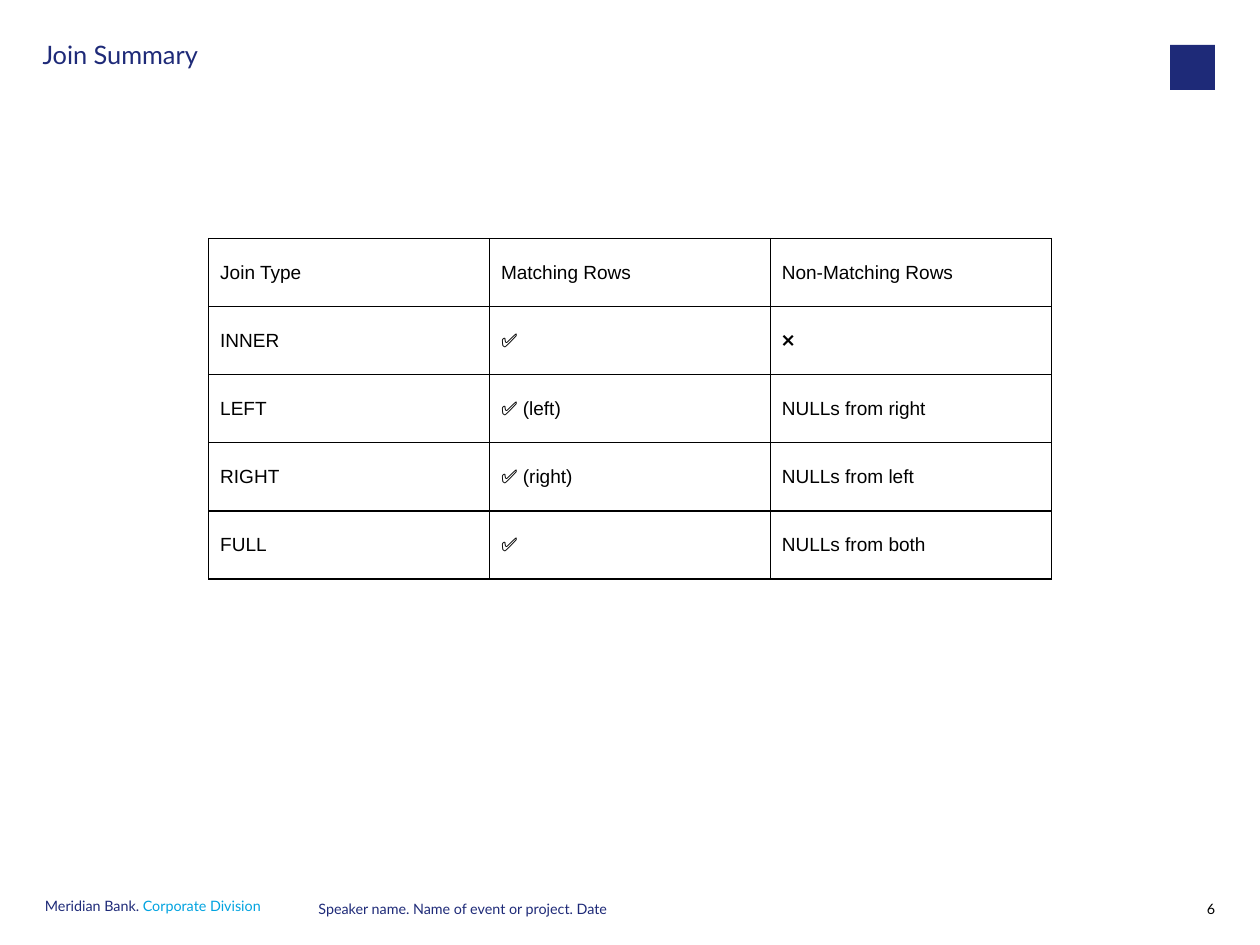
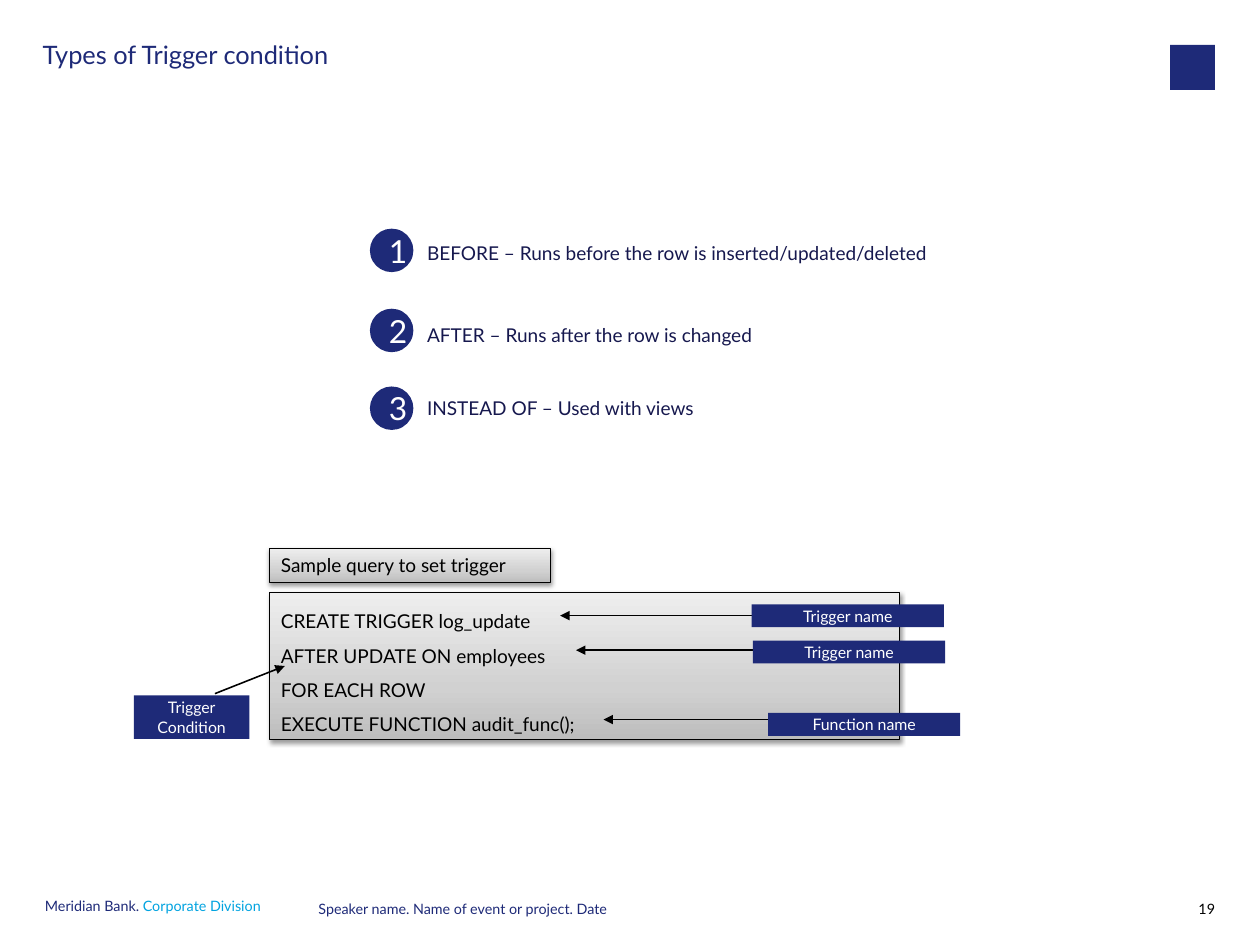
"""Builds two slides on SQL joins and triggers."""
from dataclasses import dataclass, replace
from typing import NamedTuple

from lxml.etree import SubElement as Sub
from pptx import Presentation
from pptx.dml.color import RGBColor as Rgb
from pptx.enum.shapes import MSO_CONNECTOR as Link, MSO_SHAPE as Form
from pptx.enum.text import MSO_ANCHOR as Anchor, PP_ALIGN as Align
from pptx.oxml import parse_xml
from pptx.oxml.ns import nsdecls, qn
from pptx.util import Inches, Mm, Pt

WIDE, HIGH = Mm(280), Mm(210)


@dataclass(frozen=True)
class Theme:
    navy: str = "1E2A78"
    ink: str = "16184E"
    sky: str = "00A3E0"
    black: str = "000000"
    white: str = "FFFFFF"
    font: str = "Lato"
    grid: str = "Arial"
    head: int = 16
    body: int = 12
    tag: int = 10
    foot: int = 9
    disc: int = 20
    fade: tuple = ((0, "BDBDBD"), (35, "D1D1D1"), (100, "EEEEEE"))


T = Theme()


@dataclass(frozen=True)
class Look:
    size: int
    tint: str
    font: str = T.font
    align: Align = Align.LEFT
    gap: object = 1.0
    hold: Anchor = Anchor.TOP
    pad: tuple = (0.1, 0.05)


class Box(NamedTuple):
    """Left, top, width and height in percent of the slide."""
    x: float
    y: float
    w: float
    h: float

    def place(self) -> tuple:
        return (*spot(self.x, self.y), *spot(self.w, self.h))


class Step(NamedTuple):
    disc: float
    text: float
    words: str


class Note(NamedTuple):
    words: str
    box: Box
    start: tuple
    end: tuple


HEAD = Look(T.head, T.navy, gap=0.9, pad=(0, 0))
FOOT = Look(T.foot, T.navy, pad=(0, 0))
BRAND = replace(FOOT, gap=Pt(T.foot))
PAGE = replace(FOOT, tint=T.black, align=Align.RIGHT)
CELL = Look(T.body, T.black, T.grid, hold=Anchor.MIDDLE)
STEP = Look(T.body, T.ink)
CODE = Look(T.body, T.black)
TAG = Look(T.tag, T.white, align=Align.CENTER, hold=Anchor.MIDDLE, pad=(0.11, 0.06))
DISC = replace(TAG, size=T.disc)

JOINS = (
    ("Join Type", "Matching Rows", "Non-Matching Rows"),
    ("INNER", "✅", "❌"),
    ("LEFT", "✅ (left)", "NULLs from right"),
    ("RIGHT", "✅ (right)", "NULLs from left"),
    ("FULL", "✅", "NULLs from both"),
)
STEPS = (
    Step(24.2, 25, "BEFORE – Runs before the row is inserted/updated/deleted"),
    Step(32.67, 33.62, "AFTER – Runs after the row is changed"),
    Step(40.9, 41.35, "INSTEAD OF – Used with views"),
)
QUERY = (
    "CREATE TRIGGER log_update",
    "AFTER UPDATE ON employees",
    "FOR EACH ROW",
    "EXECUTE FUNCTION audit_func();",
)
NOTES = (
    Note("Trigger name", Box(59.66, 63.95, 15.25, 2.42), (59.76, 65.15), (44.46, 65.15)),
    Note("Trigger name", Box(59.76, 67.8, 15.25, 2.42), (60.96, 68.8), (45.72, 68.8)),
    Note("Function name", Box(60.96, 75.45, 15.25, 2.42), (63.14, 76.15), (47.9, 76.15)),
    Note("Trigger Condition", Box(10.62, 73.6, 9.17, 4.59), (17.06, 73.4), (22.6, 70.48)),
)


def spot(x: float, y: float) -> tuple:
    return round(WIDE * x / 100), round(HIGH * y / 100)


def apply(item, form: dict) -> None:
    for key, val in form.items():
        setattr(item, key, val)


def put(para, words: str, look: Look) -> None:
    run = para.add_run()
    run.text = words
    apply(run.font, {"name": look.font, "size": Pt(look.size)})
    run.font.color.rgb = Rgb.from_string(look.tint)


def write(frame, lines: tuple, look: Look) -> None:
    for i, words in enumerate(lines):
        para = frame.add_paragraph() if i else frame.paragraphs[0]
        apply(para, {"alignment": look.align, "line_spacing": look.gap})
        put(para, words, look)


def fit(frame, look: Look) -> None:
    side, edge = (Inches(n) for n in look.pad)
    apply(frame, {
        "word_wrap": True, "vertical_anchor": look.hold,
        "margin_left": side, "margin_right": side,
        "margin_top": edge, "margin_bottom": edge,
    })


def label(slide, box: Box, look: Look, *lines: str):
    frame = slide.shapes.add_textbox(*box.place()).text_frame
    fit(frame, look)
    write(frame, lines, look)
    return frame


def block(slide, form: Form, box: Box, look: Look, *lines: str):
    shape = slide.shapes.add_shape(form, *box.place())
    shape.shadow.inherit = False
    shape.fill.solid()
    shape.fill.fore_color.rgb = Rgb.from_string(T.navy)
    shape.line.fill.background()
    fit(shape.text_frame, look)
    write(shape.text_frame, lines, look)
    return shape


def panel(slide, box: Box, look: Look, *lines: str) -> None:
    shape = block(slide, Form.RECTANGLE, box, look, *lines)
    shape.line.color.rgb = Rgb.from_string(T.black)
    shape.line.width = Pt(0.75)
    props = shape._element.spPr
    stops = "".join(
        f'<a:gs pos="{at * 1000}"><a:srgbClr val="{tint}"/></a:gs>' for at, tint in T.fade)
    props.replace(props.find(qn("a:solidFill")), parse_xml(
        f'<a:gradFill {nsdecls("a")} rotWithShape="1"><a:gsLst>{stops}</a:gsLst>'
        '<a:lin ang="16200000" scaled="0"/></a:gradFill>'))
    props.find(qn("a:effectLst")).append(parse_xml(
        f'<a:outerShdw {nsdecls("a")} blurRad="{Pt(3.1)}" dist="{Pt(1.6)}" dir="5400000"'
        f' rotWithShape="0"><a:srgbClr val="{T.black}"><a:alpha val="38000"/></a:srgbClr>'
        '</a:outerShdw>'))


def arrow(slide, start: tuple, end: tuple) -> None:
    line = slide.shapes.add_connector(Link.STRAIGHT, *spot(*start), *spot(*end))
    line.line.color.rgb = Rgb.from_string(T.black)
    line.line.width = Pt(1)
    Sub(line.line._get_or_add_ln(), qn("a:tailEnd"), type="triangle")
    Sub(line._element.spPr, qn("a:effectLst"))


def frame_cell(cell) -> None:
    cell.fill.background()
    props = cell._tc.get_or_add_tcPr()
    for i, side in enumerate("LRTB"):
        props.insert(i, parse_xml(
            f'<a:ln{side} {nsdecls("a")} w="{Pt(1)}"><a:solidFill>'
            f'<a:srgbClr val="{T.black}"/></a:solidFill></a:ln{side}>'))


def grid(slide, box: Box, rows: tuple) -> None:
    table = slide.shapes.add_table(len(rows), len(rows[0]), *box.place()).table
    apply(table, {"first_row": False, "horz_banding": False})
    for r, row in enumerate(rows):
        for c, words in enumerate(row):
            cell = table.cell(r, c)
            cell.vertical_anchor = CELL.hold
            write(cell.text_frame, (words,), CELL)
            frame_cell(cell)


def base(deck, title: str, page: int):
    slide = deck.slides.add_slide(deck.slide_layouts[6])
    brand = label(slide, Box(3.57, 95.24, 19.87, 2.38), BRAND, "Meridian Bank. ")
    put(brand.paragraphs[0], "Corporate Division", replace(BRAND, tint=T.sky))
    block(slide, Form.RECTANGLE, Box(92.86, 4.76, 3.57, 4.76), TAG)
    label(slide, Box(92.86, 95.24, 3.57, 2.38), PAGE, str(page))
    label(slide, Box(25.28, 95.24, 49, 2.38), FOOT,
          "Speaker name. Name of event or project. Date")
    label(slide, Box(3.38, 4.47, 85.9, 7.38), HEAD, title)
    return slide


def joins(deck) -> None:
    grid(base(deck, "Join Summary", 6), Box(16.57, 25.24, 66.86, 36.03), JOINS)


def triggers(deck) -> None:
    slide = base(deck, "Types of Trigger condition", 19)
    panel(slide, Box(21.4, 62.74, 50, 15.48), replace(CODE, gap=1.5), *QUERY)
    for i, step in enumerate(STEPS, 1):
        label(slide, Box(33, step.text, 50, 3.63), STEP, step.words)
        block(slide, Form.OVAL, Box(29.36, step.disc, 3.45, 4.6), DISC, str(i))
    panel(slide, Box(21.4, 58.02, 22.3, 3.65), CODE, "Sample query to set trigger")
    for note in NOTES:
        arrow(slide, note.start, note.end)
        block(slide, Form.RECTANGLE, note.box, TAG, note.words)


def main() -> None:
    deck = Presentation()
    deck.slide_width, deck.slide_height = WIDE, HIGH
    joins(deck)
    triggers(deck)
    deck.save("out.pptx")


if __name__ == "__main__":
    main()
